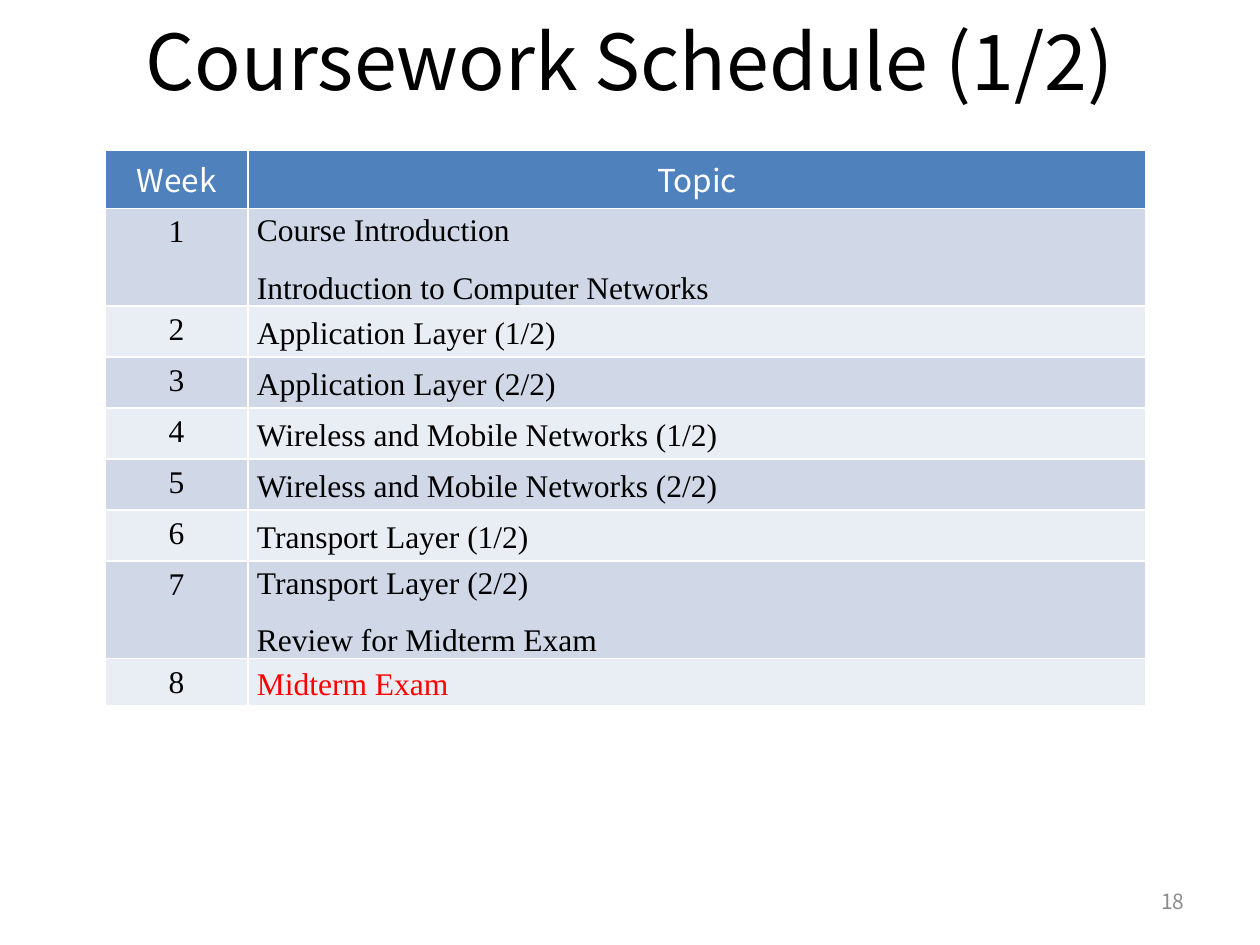
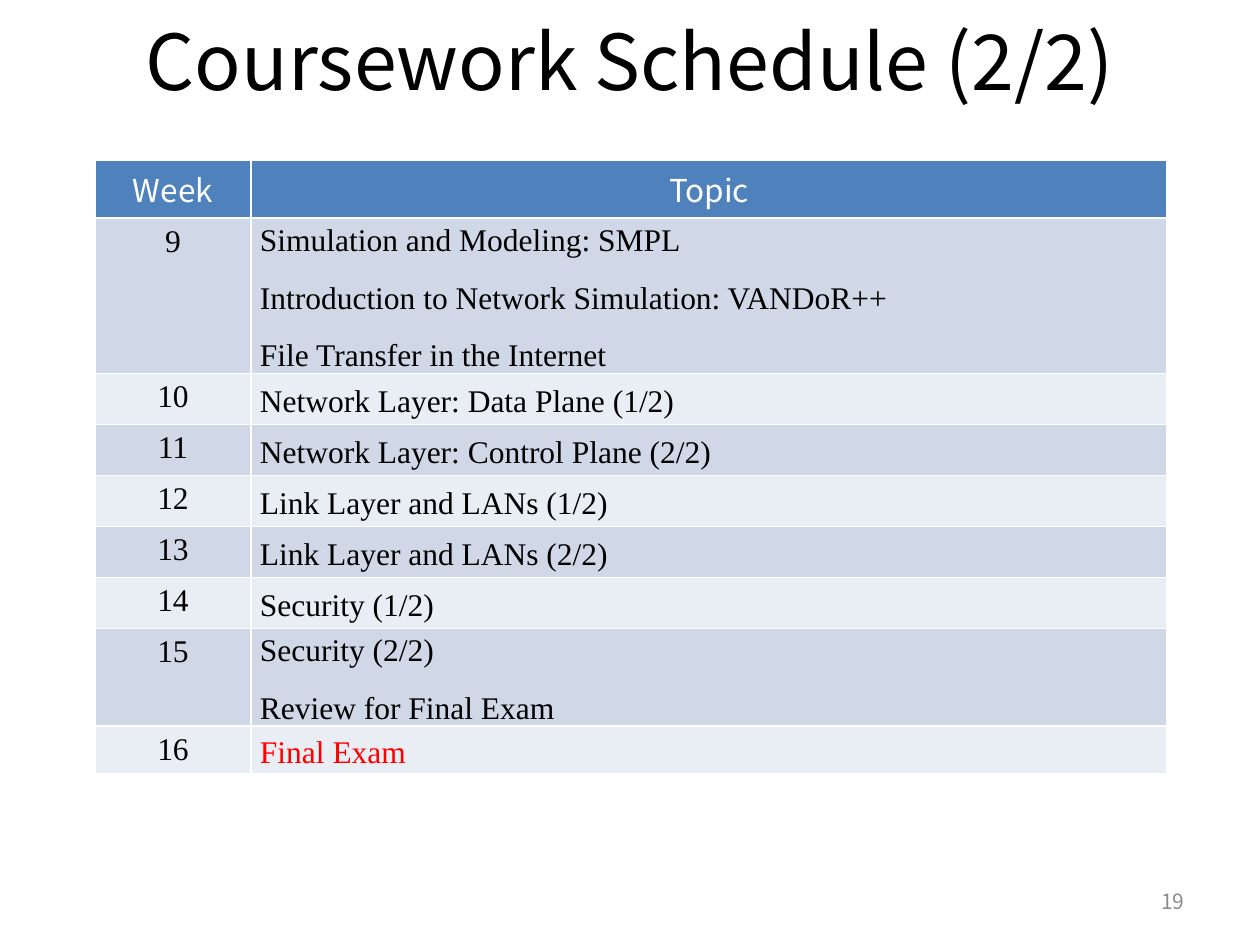
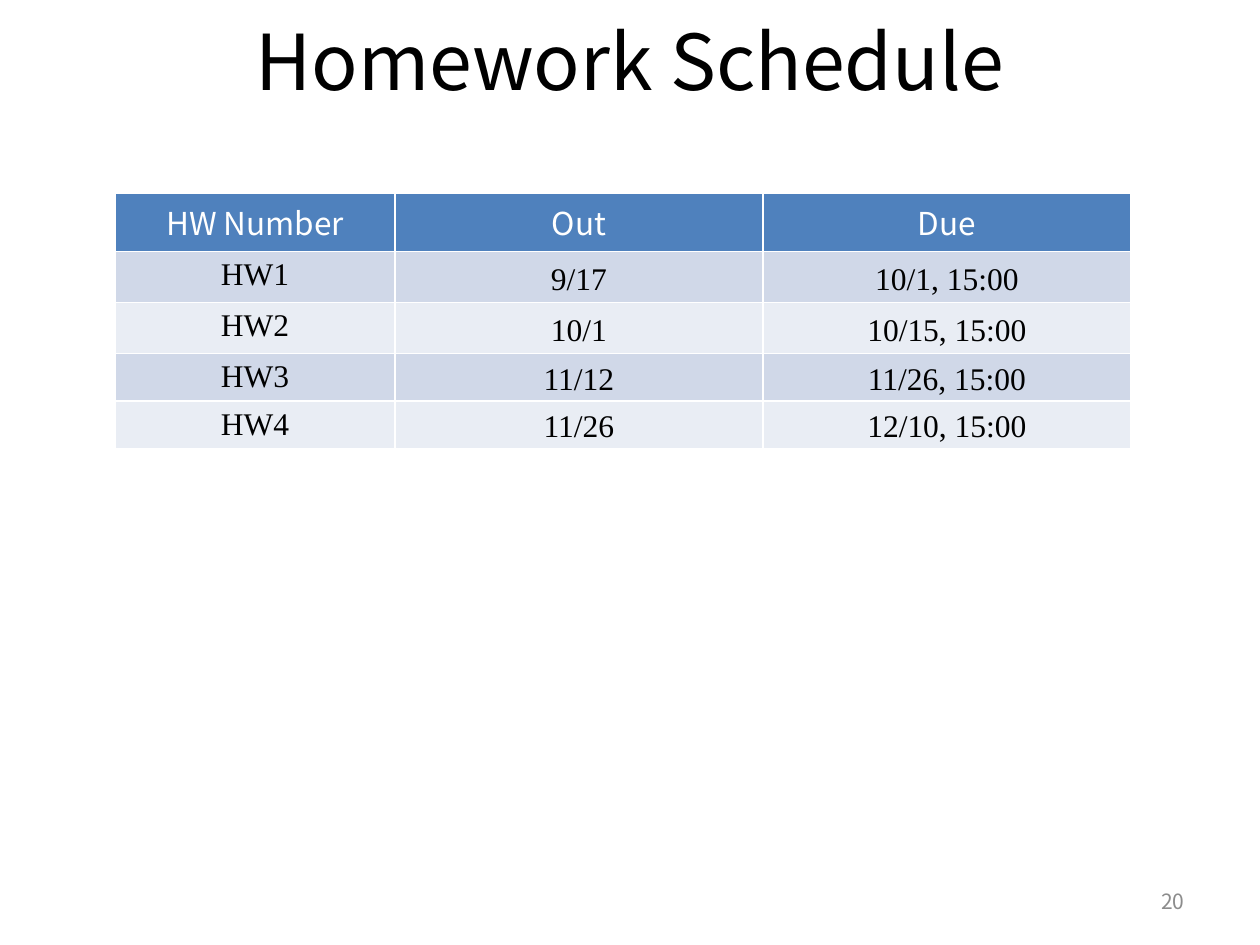
"""Build the coursework and homework schedule slides."""
from pptx import Presentation
from pptx.dml.color import RGBColor
from pptx.enum.text import MSO_ANCHOR, MSO_AUTO_SIZE, PP_ALIGN
from pptx.oxml.ns import qn
from pptx.util import Pt
from lxml import etree

MIDDLE, TOP = MSO_ANCHOR.MIDDLE, MSO_ANCHOR.TOP
LEFT, CENTER, RIGHT = PP_ALIGN.LEFT, PP_ALIGN.CENTER, PP_ALIGN.RIGHT
NO_FIT = MSO_AUTO_SIZE.NONE

SANS, SERIF = "Noto Sans CJK KR", "Times New Roman"
BLACK, WHITE, GRAY, RED = "000000", "FFFFFF", "8C8C8C", "FF0000"
HEADER, BANDS = "4F81BD", ("D0D8E8", "E9EDF4")
FIRST_NUMBER = 18

WEEKS_1_TO_8 = [
    ("Week", "Topic"),
    ("1", "Course Introduction\nIntroduction to Computer Networks"),
    ("2", "Application Layer (1/2)"),
    ("3", "Application Layer (2/2)"),
    ("4", "Wireless and Mobile Networks (1/2)"),
    ("5", "Wireless and Mobile Networks (2/2)"),
    ("6", "Transport Layer (1/2)"),
    ("7", "Transport Layer (2/2)\nReview for Midterm Exam"),
    ("8", "Midterm Exam"),
]
WEEKS_9_TO_16 = [
    ("Week", "Topic"),
    ("9", "Simulation and Modeling: SMPL\n"
          "Introduction to Network Simulation: VANDoR++\n"
          "File Transfer in the Internet"),
    ("10", "Network Layer: Data Plane (1/2)"),
    ("11", "Network Layer: Control Plane (2/2)"),
    ("12", "Link Layer and LANs (1/2)"),
    ("13", "Link Layer and LANs (2/2)"),
    ("14", "Security (1/2)"),
    ("15", "Security (2/2)\nReview for Final Exam"),
    ("16", "Final Exam"),
]
HOMEWORK = [
    ("HW Number", "Out", "Due"),
    ("HW1", "9/17", "10/1, 15:00"),
    ("HW2", "10/1", "10/15, 15:00"),
    ("HW3", "11/12", "11/26, 15:00"),
    ("HW4", "11/26", "12/10, 15:00"),
]


def px(n):
    """Turn pixels into EMU."""
    return round(n * 914400 / 126)


def rgb(color):
    """Turn a hex string into a colour."""
    return RGBColor.from_string(color)


def write(tf, text, size=18, font=SERIF, color=BLACK, align=LEFT,
          spacing=None, after=None):
    """Write each line of text as a formatted paragraph."""
    for i, line in enumerate(text.split("\n")):
        p = tf.add_paragraph() if i else tf.paragraphs[0]
        p.alignment = align
        if spacing is not None:
            p.line_spacing = spacing
        if after is not None:
            p.space_after = Pt(after)
        r = p.add_run()
        r.text = line
        r.font.size, r.font.name, r.font.bold = Pt(size), font, False
        r.font.color.rgb = rgb(color)


def add_slide(prs, title, number):
    """Add a slide with its title and number."""
    s = prs.slides.add_slide(prs.slide_layouts[5])
    sp = s.shapes.title
    sp.left, sp.top, sp.width, sp.height = px(63), px(6), px(1134), px(107)
    box = s.shapes.add_textbox(px(903), px(876), px(294), px(50))
    for tf in (sp.text_frame, box.text_frame):
        tf.word_wrap, tf.auto_size, tf.vertical_anchor = True, NO_FIT, MIDDLE
    write(sp.text_frame, title, size=44, font=SANS, align=CENTER)
    write(box.text_frame, str(number), size=12, font=SANS, color=GRAY, align=RIGHT)
    return s


def set_borders(cell):
    """Draw thin white borders around a cell."""
    tcPr = cell._tc.get_or_add_tcPr()
    for side in "LRTB":
        ln = etree.SubElement(tcPr, qn(f"a:ln{side}"), w=str(Pt(1)))
        fill = etree.SubElement(ln, qn("a:solidFill"))
        etree.SubElement(fill, qn("a:srgbClr"), val=WHITE)


def fill_cell(cell, color):
    """Give a cell its borders and fill."""
    set_borders(cell)
    cell.fill.solid()
    cell.fill.fore_color.rgb = rgb(color)


def add_schedule(s, rows, left, top, height, widths, heights, align=LEFT, after=10):
    """Add a table with a header, a key column and detail columns."""
    frame = s.shapes.add_table(len(rows), len(widths), px(left), px(top),
                               px(sum(widths)), px(height))
    table = frame.table
    for column, width in zip(table.columns, widths):
        column.width = px(width)
    for row, row_height in zip(table.rows, heights):
        row.height = px(row_height)
    frame.height = px(height)
    for i, texts in enumerate(rows):
        for j, text in enumerate(texts):
            cell = table.cell(i, j)
            if i == 0:
                fill_cell(cell, HEADER)
                write(cell.text_frame, text, font=SANS, color=WHITE, align=CENTER)
                continue
            fill_cell(cell, BANDS[(i - 1) % 2])
            if j == 0:
                cell.vertical_anchor = TOP
                write(cell.text_frame, text, align=CENTER)
                continue
            cell.vertical_anchor = MIDDLE
            cell.margin_left = cell.margin_right = px(9)
            cell.margin_top = cell.margin_bottom = 0
            color = RED if text in ("Midterm Exam", "Final Exam") else BLACK
            write(cell.text_frame, text, color=color, align=align,
                  spacing=1.15, after=after)


def main():
    """Build and save the slides."""
    prs = Presentation()
    prs.slide_width, prs.slide_height = px(1260), px(945)

    s = add_slide(prs, "Coursework Schedule (1/2)", FIRST_NUMBER)
    add_schedule(s, WEEKS_1_TO_8, 105, 150, 559, (143, 898), [51] * 7 + [25] * 2)

    s = add_slide(prs, "Coursework Schedule (2/2)", FIRST_NUMBER + 1)
    add_schedule(s, WEEKS_9_TO_16, 95, 160, 620, (156, 916), [51] * 7 + [42] * 2)

    s = add_slide(prs, "Homework Schedule", FIRST_NUMBER + 2)
    add_schedule(s, HOMEWORK, 115, 193, 255, (280, 368, 368),
                 [51] * 3 + [25] * 2, align=CENTER, after=0)

    prs.save("out.pptx")


if __name__ == "__main__":
    main()
